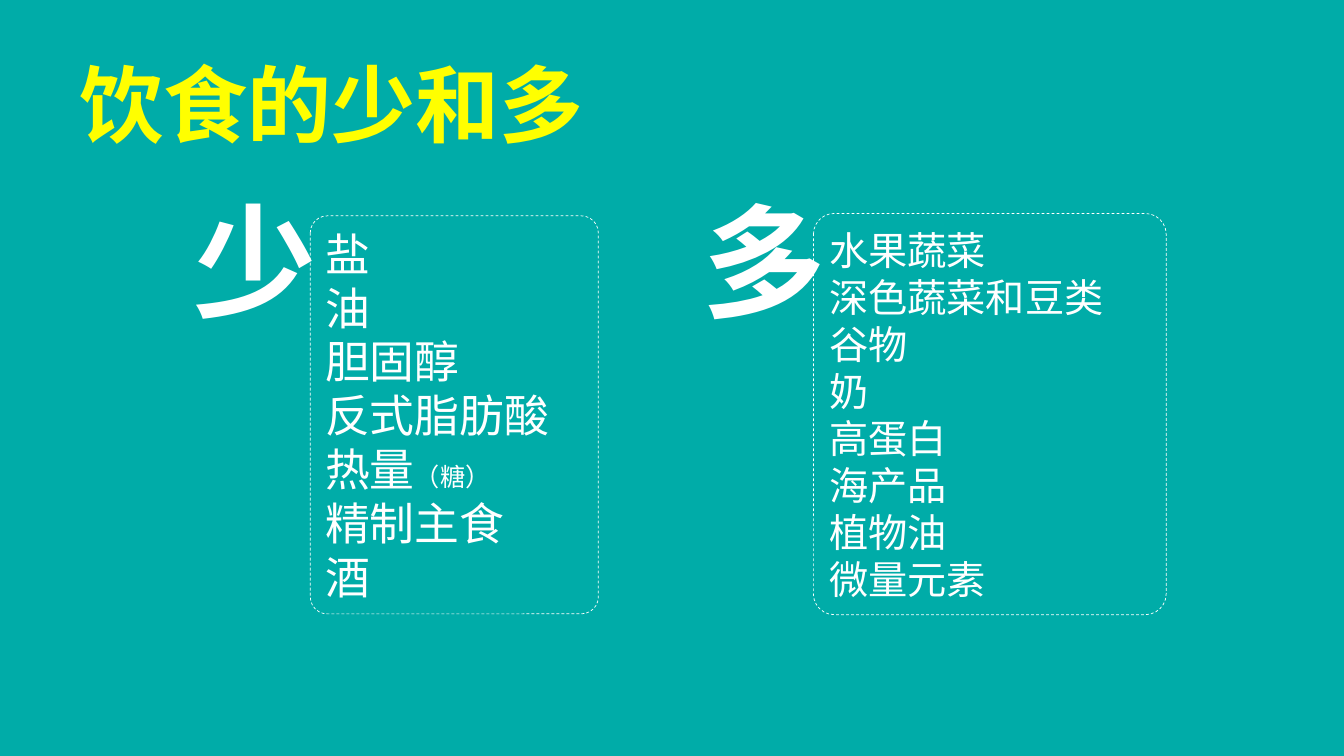
from dataclasses import dataclass

import pptx
import pptx.dml.color
import pptx.enum.dml
import pptx.enum.shapes
import pptx.enum.text
import pptx.oxml.ns
import pptx.shapes.base
import pptx.util
from pptx.util import Cm


@dataclass(frozen=True)
class Theme:
    font: str = "Noto Sans CJK SC"
    background: str = "00ACA8"
    heading: str = "FFFF00"
    light: str = "FFFFFF"
    title_size: int = 60
    keyword_size: int = 88
    note_size: int = 18
    line_height: float = 1.2
    outline_width: float = 0.5
    corner: float = 0.059


@dataclass(frozen=True)
class Frame:
    left: float
    top: float
    width: float
    height: float

    def lengths(self) -> tuple:
        return Cm(self.left), Cm(self.top), Cm(self.width), Cm(self.height)


@dataclass(frozen=True)
class Advice:
    keyword: str
    keyword_frame: Frame
    foods: tuple[str, ...]
    foods_frame: Frame
    food_size: int
    notes: dict[str, str]


THEME = Theme()
ADVICE = (
    Advice(
        "少", Frame(4.62, 4.55, 3.66, 4.01),
        ("盐", "油", "胆固醇", "反式脂肪酸", "热量", "精制主食", "酒"),
        Frame(7.82, 5.44, 7.26, 10.03), 32, {"热量": "（糖）"},
    ),
    Advice(
        "多", Frame(17.45, 4.55, 3.66, 4.01),
        ("水果蔬菜", "深色蔬菜和豆类", "谷物", "奶", "高蛋白", "海产品", "植物油", "微量元素"),
        Frame(20.5, 5.38, 8.89, 10.11), 28, {},
    ),
)


def rgb(value: str) -> pptx.dml.color.RGBColor:
    return pptx.dml.color.RGBColor.from_string(value)


def add_run(paragraph, text: str, *, size: int, color: str, bold: bool) -> None:
    run = paragraph.add_run()
    run.text = text
    run.font.name = THEME.font
    run.font.size = pptx.util.Pt(size)
    run.font.bold = bold
    run.font.color.rgb = rgb(color)
    east_asian = pptx.oxml.parse_xml(
        f'<a:ea {pptx.oxml.ns.nsdecls("a")} typeface="{THEME.font}"/>'
    )
    run.font._element.find(pptx.oxml.ns.qn("a:latin")).addnext(east_asian)


def write_text(
    shape: pptx.shapes.base.BaseShape,
    lines: tuple[str, ...],
    *,
    size: int,
    color: str = THEME.light,
    bold: bool = False,
    wrap: bool = False,
    anchor=pptx.enum.text.MSO_ANCHOR.TOP,
    notes: dict[str, str] | None = None,
) -> None:
    """Write one paragraph per line; notes adds a small remark after a line."""
    frame = shape.text_frame
    frame.word_wrap = wrap
    frame.auto_size = pptx.enum.text.MSO_AUTO_SIZE.SHAPE_TO_FIT_TEXT
    frame.vertical_anchor = anchor
    for index, line in enumerate(lines):
        paragraph = frame.add_paragraph() if index else frame.paragraphs[0]
        paragraph.alignment = pptx.enum.text.PP_ALIGN.LEFT
        paragraph.line_spacing = pptx.util.Pt(size * THEME.line_height)
        add_run(paragraph, line, size=size, color=color, bold=bold)
        if notes and line in notes:
            add_run(paragraph, notes[line], size=THEME.note_size, color=color, bold=bold)


def add_advice(slide, advice: Advice) -> None:
    group = slide.shapes.add_group_shape()
    keyword = group.shapes.add_textbox(*advice.keyword_frame.lengths())
    write_text(keyword, (advice.keyword,), size=THEME.keyword_size, bold=True)

    foods = group.shapes.add_shape(
        pptx.enum.shapes.MSO_SHAPE.ROUNDED_RECTANGLE, *advice.foods_frame.lengths()
    )
    foods.adjustments[0] = THEME.corner
    foods.shadow.inherit = False
    foods.fill.background()
    foods.line.color.rgb = rgb(THEME.light)
    foods.line.width = pptx.util.Pt(THEME.outline_width)
    foods.line.dash_style = pptx.enum.dml.MSO_LINE.DASH
    write_text(
        foods, advice.foods, size=advice.food_size, wrap=True,
        anchor=pptx.enum.text.MSO_ANCHOR.MIDDLE, notes=advice.notes,
    )


def main() -> None:
    presentation = pptx.Presentation()
    presentation.slide_width = Cm(33.87)
    presentation.slide_height = Cm(19.05)
    slide = presentation.slides.add_slide(presentation.slide_layouts[6])
    slide.background.fill.solid()
    slide.background.fill.fore_color.rgb = rgb(THEME.background)

    title = slide.shapes.add_textbox(*Frame(1.75, 1.19, 13.34, 2.82).lengths())
    write_text(title, ("饮食的少和多",), size=THEME.title_size, color=THEME.heading, bold=True)
    for advice in ADVICE:
        add_advice(slide, advice)
    presentation.save("out.pptx")


if __name__ == "__main__":
    main()
